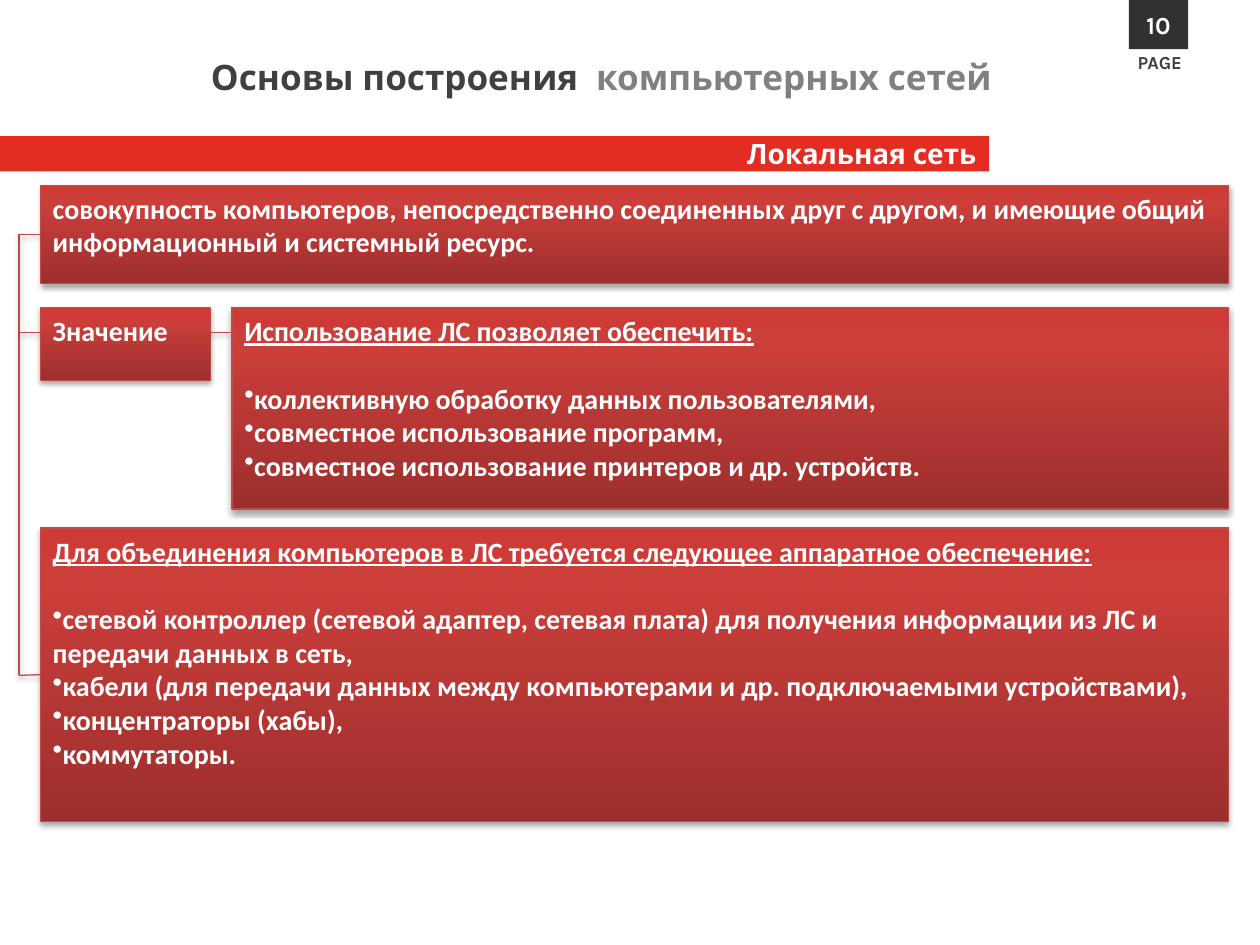
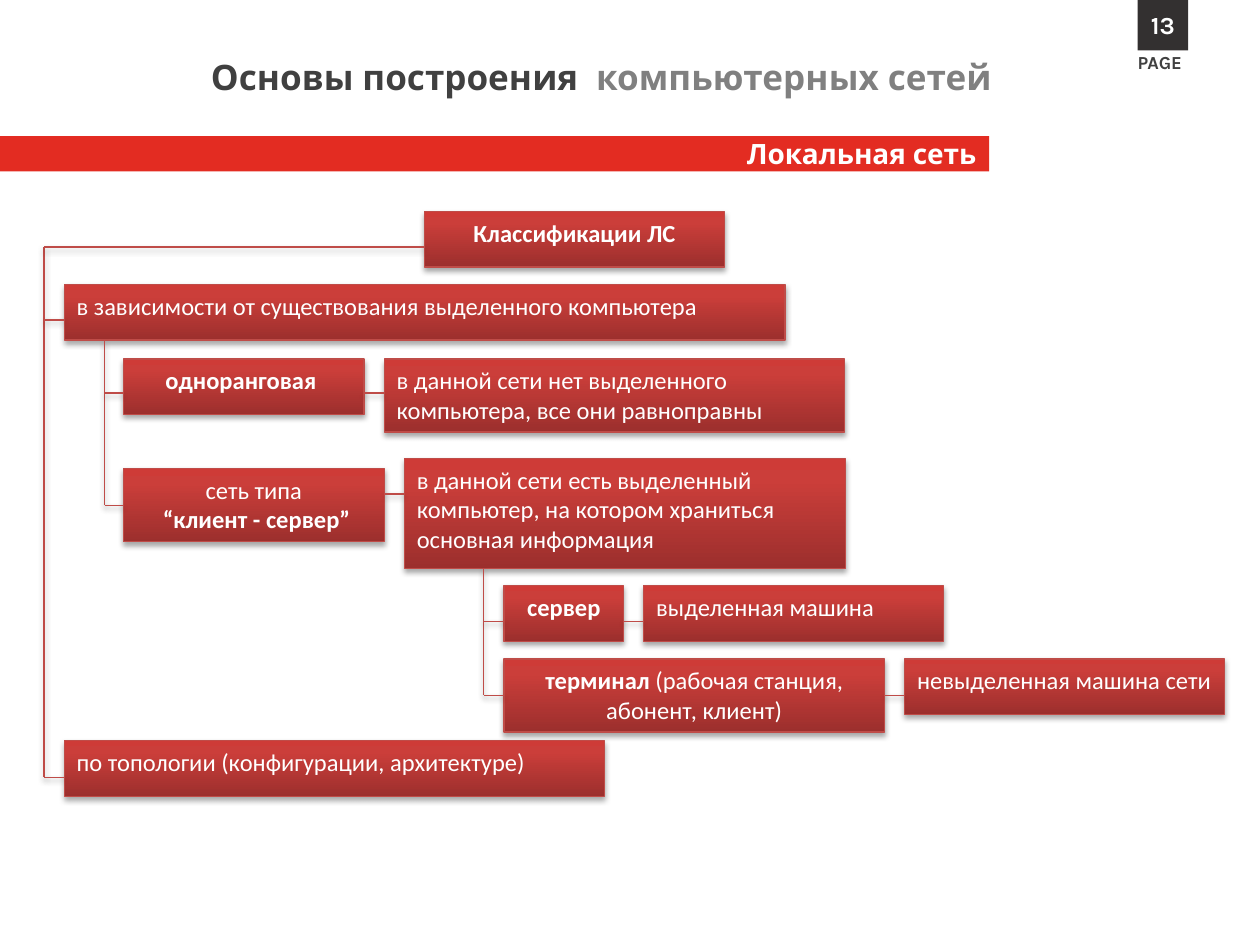
import pptx
import pptx.util
import pptx.dml.color
import pptx.enum.shapes
import pptx.enum.text
import pptx.oxml
import pptx.oxml.ns

# Shared look
HUES = {"red": "E32C22", "ink": "333030", "dark": "404040", "grey": "808080",
        "white": "FFFFFF", "line": "BF4C48"}
SHADE = [(0, "9C2F2D"), (80, "CB3E3A"), (100, "CE3B37")]
ALIGN = {"l": pptx.enum.text.PP_ALIGN.LEFT, "c": pptx.enum.text.PP_ALIGN.CENTER,
         "r": pptx.enum.text.PP_ALIGN.RIGHT}
TITLE = [("Основы построения  ", "dark"), ("компьютерных сетей", "grey")]
TOPIC = "Локальная сеть"
PLAIN, BOLD, HEAD = {}, {"bold": True}, {"bold": True, "underline": True}
GAP = 19.5  # one line between a heading and its list, in points
NEAR = 0.015

# Content: a box is (left, top, width, height, align, paragraphs);
# a paragraph is a list of (text, format) runs, or a plain string for a bullet.
# A tree is (trunk x, trunk top, trunk bottom, [(branch y, branch end x)]);
# a link is (from x, to x, y).
SLIDES = [
    {"page": "10", "tab": (8.96, 0, 0.47, 0.39), "size": 16,
     "boxes": [
         (0.32, 1.47, 9.43, 0.78, "l", [[(
             "совокупность компьютеров, непосредственно соединенных друг с другом, "
             "и имеющие общий информационный и системный ресурс.", BOLD)]]),
         (0.32, 2.44, 1.35, 0.58, "l", [[("Значение", BOLD)]]),
         (1.84, 2.44, 7.91, 1.6, "l", [
             [("Использование ЛС позволяет обеспечить:", HEAD)],
             "коллективную обработку данных пользователями,",
             "совместное использование программ,",
             "совместное использование принтеров и др. устройств."]),
         (0.32, 4.19, 9.43, 2.33, "l", [
             [("Для объединения компьютеров в ЛС требуется следующее "
               "аппаратное обеспечение:", HEAD)],
             "сетевой контроллер (сетевой адаптер, сетевая плата) для получения "
             "информации из ЛС и передачи данных в сеть,",
             "кабели (для передачи данных между компьютерами и др. "
             "подключаемыми устройствами),",
             "концентраторы (хабы),",
             "коммутаторы."])],
     "trees": [(0.15, 1.86, 5.36, [(1.86, 0.32), (2.64, 0.32), (5.36, 0.32)])],
     "links": [(1.67, 1.84, 2.64)]},
    {"page": "13", "tab": (9.03, 0, 0.4, 0.4), "size": 14,
     "boxes": [
         (3.37, 1.68, 2.38, 0.44, "c", [[("Классификации ЛС", BOLD)]]),
         (0.51, 2.26, 5.72, 0.44, "l", [[(
             "в зависимости от существования выделенного компьютера", PLAIN)]]),
         (0.98, 2.85, 1.91, 0.44, "c", [[("одноранговая ", BOLD)]]),
         (3.05, 2.85, 3.65, 0.58, "l", [[(
             "в данной сети нет выделенного компьютера, все они равноправны", PLAIN)]]),
         (3.21, 3.64, 3.5, 0.87, "l", [[(
             "в данной сети есть выделенный компьютер, на котором храниться "
             "основная информация", PLAIN)]]),
         (0.98, 3.72, 2.07, 0.58, "c", [[("сеть типа", PLAIN)],
                                        [(" “клиент - сервер”", BOLD)]]),
         (4, 4.65, 0.95, 0.44, "c", [[("сервер", BOLD)]]),
         (5.11, 4.65, 2.38, 0.44, "l", [[("выделенная машина", PLAIN)]]),
         (4, 5.23, 3.02, 0.58, "c", [[("терминал", BOLD),
                                      (" (рабочая станция, абонент, клиент)", PLAIN)]]),
         (7.18, 5.23, 2.54, 0.44, "l", [[("невыделенная машина сети", PLAIN)]]),
         (0.51, 5.88, 4.29, 0.44, "l", [[(
             "по топологии (конфигурации, архитектуре)", PLAIN)]])],
     "trees": [(0.35, 1.96, 6.17, [(1.96, 3.37), (2.54, 0.51), (6.17, 0.51)]),
               (0.83, 2.7, 4.01, [(3.12, 0.98), (4.01, 0.98)]),
               (3.84, 4.51, 5.52, [(4.93, 4), (5.52, 4)])],
     "links": [(2.89, 3.05, 3.12), (3.05, 3.21, 3.92),
               (4.95, 5.11, 4.93), (7.02, 7.18, 5.52)]},
]


def inch(*nums):
    return [pptx.util.Inches(n) for n in nums]


def color(name):
    return pptx.dml.color.RGBColor.from_string(HUES[name])


def node(tag, attrs="", body=""):
    space = pptx.oxml.ns.nsdecls("a")
    return pptx.oxml.parse_xml(f"<a:{tag} {space} {attrs}>{body}</a:{tag}>")


def write(para, text, size, hue, face, form):
    run = para.add_run()
    run.text = text
    font = run.font
    for key, val in {"name": face, "size": pptx.util.Pt(size), **form}.items():
        setattr(font, key, val)
    font.color.rgb = color(hue)


def block(slide, at, fill):
    shape = slide.shapes.add_shape(pptx.enum.shapes.MSO_SHAPE.RECTANGLE, *inch(*at))
    shape.shadow.inherit = False
    if fill:
        shape.fill.solid()
        shape.fill.fore_color.rgb = color(fill)
        shape.line.fill.background()
    return shape


def label(shape, runs, size, align, anchor="MIDDLE"):
    frame = shape.text_frame
    frame.vertical_anchor = pptx.enum.text.MSO_ANCHOR[anchor]
    para = frame.paragraphs[0]
    para.alignment = ALIGN[align]
    for text, hue in runs:
        write(para, text, size, hue, "Karla", BOLD)


def note(slide, at, runs, size, align, wrap):
    box = slide.shapes.add_textbox(*inch(*at))
    box.text_frame.word_wrap = wrap
    box.text_frame.auto_size = pptx.enum.text.MSO_AUTO_SIZE.SHAPE_TO_FIT_TEXT
    label(box, runs, size, align, "TOP")


def edge(shape):
    """Thin red outline with a soft shadow below."""
    shape.line.color.rgb = color("line")
    shape.line.width = pptx.util.Pt(0.75)
    props = shape._element.spPr
    for old in props.findall(pptx.oxml.ns.qn("a:effectLst")):
        props.remove(old)
    props.append(node(
        "effectLst", body='<a:outerShdw blurRad="40000" dist="23000" dir="5400000" '
        'rotWithShape="0"><a:srgbClr val="000000"><a:alpha val="35000"/>'
        '</a:srgbClr></a:outerShdw>'))


def card(slide, data, size):
    *at, align, paras = data
    shape = block(slide, at, None)
    stops = "".join(f'<a:gs pos="{pos * 1000}"><a:srgbClr val="{hue}"/></a:gs>'
                    for pos, hue in SHADE)
    grad = node("gradFill", 'rotWithShape="1"',
                f'<a:gsLst>{stops}</a:gsLst><a:lin ang="16200000" scaled="0"/>')
    shape._element.spPr.find(pptx.oxml.ns.qn("a:prstGeom")).addnext(grad)
    edge(shape)
    frame = shape.text_frame
    frame.word_wrap = True
    frame.vertical_anchor = pptx.enum.text.MSO_ANCHOR.TOP
    for i, runs in enumerate(paras):
        para = frame.add_paragraph() if i else frame.paragraphs[0]
        para.alignment = ALIGN[align]
        if isinstance(runs, str):
            if i == 1:
                para.space_before = pptx.util.Pt(GAP)
            para._p.get_or_add_pPr().append(node("buChar", 'char="•"'))
            runs = [(runs, BOLD)]
        for text, form in runs:
            write(para, text, size, "white", "Calibri", form)
    return shape


def wire(slide, cards, start, end):
    line = slide.shapes.add_connector(pptx.enum.shapes.MSO_CONNECTOR.STRAIGHT,
                                      *inch(*start, *end))
    edge(line)
    # Join ends that meet the middle of a card's left or right side
    for (x, y), join in ((start, line.begin_connect), (end, line.end_connect)):
        for (left, top, wide, high, *_), shape in cards:
            for side, edge_x in ((1, left), (3, left + wide)):
                if abs(x - edge_x) < NEAR and abs(y - top - high / 2) < NEAR:
                    join(shape, side)


def header(slide, page, tab):
    label(block(slide, (0, 1.08, 7.85, 0.28), "red"), [(TOPIC, "white")], 16, "r")
    note(slide, (8.93, 0.36, 0.59, 0.28), [("PAGE", "dark")], 10.5, "l", False)
    label(block(slide, tab, "ink"), [(page, "white")], 14, "c")
    note(slide, (0.15, 0.39, 7.82, 0.44), TITLE, 20, "r", True)


def main():
    deck = pptx.Presentation()
    deck.slide_width, deck.slide_height = inch(10, 7.5)
    for data in SLIDES:
        slide = deck.slides.add_slide(deck.slide_layouts[6])
        header(slide, data["page"], data["tab"])
        cards = [(box, card(slide, box, data["size"])) for box in data["boxes"]]
        for x, top, base, twigs in data["trees"]:
            wire(slide, cards, (x, top), (x, base))
            for y, end in twigs:
                wire(slide, cards, (x, y), (end, y))
        for start, end, y in data["links"]:
            wire(slide, cards, (start, y), (end, y))
    deck.save("out.pptx")


if __name__ == "__main__":
    main()
